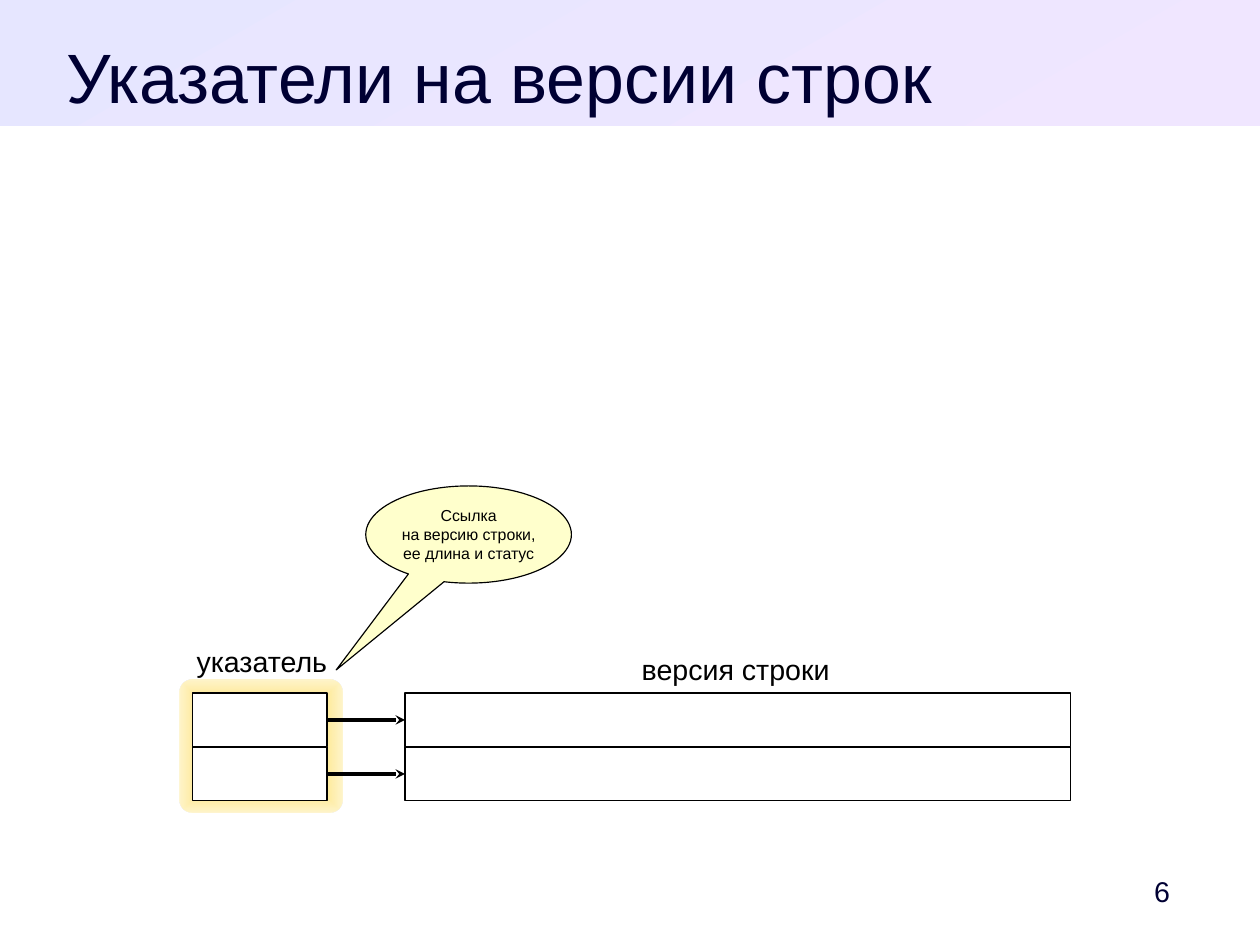
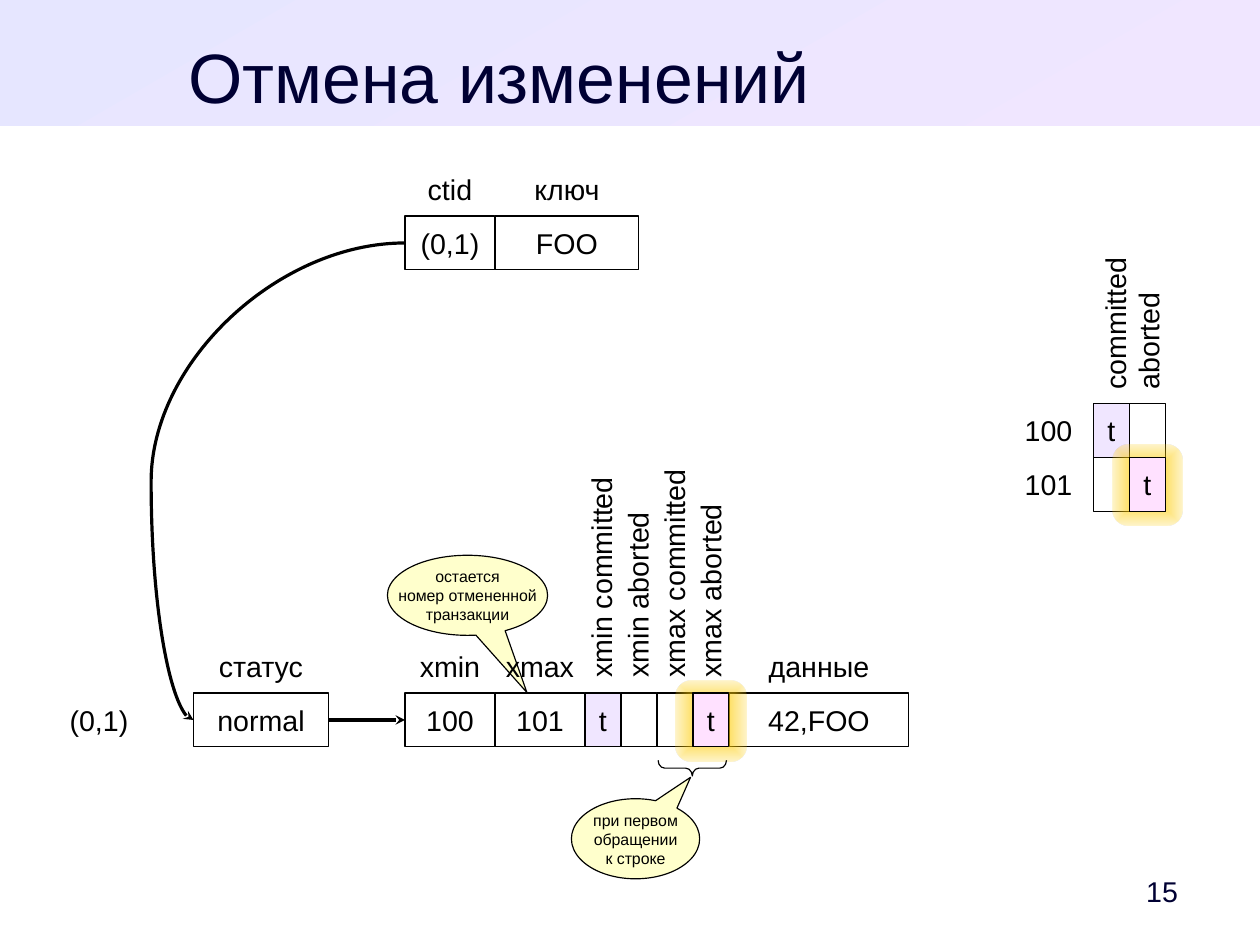
from dataclasses import dataclass

from pptx import Presentation, oxml, util as u
from pptx.dml.color import RGBColor
from pptx.enum import shapes as sh, text as tx
from pptx.oxml import ns

Cm = u.Cm
KIND = sh.MSO_SHAPE
MID = tx.PP_ALIGN.CENTER


@dataclass(frozen=True)
class Theme:
    font: str = "Arial"
    ink: str = "000000"
    navy: str = "000033"
    white: str = "FFFFFF"
    blue: str = "E6E6FF"
    lilac: str = "F0E6FF"
    pink: str = "FFE1FF"
    note: str = "FFFFCC"
    gold: str = "FFCC00"
    head: int = 44
    body: int = 18
    small: int = 10


T = Theme()
ROW = 1.2   # height of a table row, cm
BIT = 0.8   # width of a flag column, cm
GLOW = (
    f'<a:gradFill {ns.nsdecls("a")} rotWithShape="1"><a:gsLst>'
    f'<a:gs pos="0"><a:srgbClr val="{T.gold}"/></a:gs>'
    f'<a:gs pos="100000"><a:srgbClr val="{T.gold}"><a:alpha val="20000"/></a:srgbClr></a:gs>'
    '</a:gsLst><a:path path="rect">'
    '<a:fillToRect l="50000" t="50000" r="50000" b="50000"/></a:path></a:gradFill>'
)


def write(frame, words, size=T.body, color=T.ink, align=MID,
          anchor=tx.MSO_ANCHOR.MIDDLE, wrap=False, pads=(0.25, 0.13, 0.25, 0.13)):
    frame.auto_size = tx.MSO_AUTO_SIZE.NONE
    frame.word_wrap = wrap
    frame.vertical_anchor = anchor
    frame.margin_left, frame.margin_top, frame.margin_right, frame.margin_bottom = map(Cm, pads)
    frame.text = words
    for par in frame.paragraphs:
        par.alignment = align
        for run in par.runs:
            run.font.name = T.font
            run.font.size = u.Pt(size)
            run.font.color.rgb = RGBColor.from_string(color)


def box(home, x, y, w, h=ROW, words="", fill=T.white, edge=True,
        kind=KIND.RECTANGLE, adj=(), turn=0, **form):
    item = home.add_shape(kind, Cm(x), Cm(y), Cm(w), Cm(h))
    item.shadow.inherit = False
    item.rotation = turn
    for i, part in enumerate(adj):
        item.adjustments[i] = part
    if fill == T.gold:
        item.fill.gradient()
        old = item.element.find(".//" + ns.qn("a:gradFill"))
        old.getparent().replace(old, oxml.parse_xml(GLOW))
    elif fill:
        item.fill.solid()
        item.fill.fore_color.rgb = RGBColor.from_string(fill)
    else:
        item.fill.background()
    if edge:
        item.line.color.rgb = RGBColor.from_string(T.ink)
        item.line.width = 0
    else:
        item.line.fill.background()
    if words:
        write(item.text_frame, words, **form)
    return item


deck = Presentation()
deck.slide_width, deck.slide_height = Cm(28), Cm(21)
plan = deck.slide_layouts[5]

# Shared title style and page number
pages = []
for name, num in (("Указатели на версии строк", 6), ("Отмена изменений", 15)):
    page = deck.slides.add_slide(plan)
    title = page.shapes.title
    title.left, title.top, title.width, title.height = map(Cm, (1.2, 0.74, 19.8, 1.75))
    write(title.text_frame, name, size=T.head, color=T.navy, wrap=True,
          anchor=tx.MSO_ANCHOR.TOP, pads=(0, 0, 0, 0))
    foot = page.shapes.add_textbox(Cm(24.6), Cm(19.2), Cm(2.2), Cm(ROW))
    write(foot.text_frame, str(num), color=T.navy, wrap=True, pads=(0.25, 0.13, 0, 0.13))
    pages.append(page.shapes)
links, undo = pages

# Shared band, moved to the layout behind its title
band = box(links, 0, 0, 28, 2.8, edge=False)
band.fill.gradient()
band.fill.gradient_angle = 300
for stop, tint in zip(band.fill.gradient_stops, (T.blue, T.lilac)):
    stop.color.rgb = RGBColor.from_string(tint)
plan.placeholders[0].element.addprevious(band.element)

# Page 6: pointers and row versions
box(links, 4.32, 14.1, 3, words="указатель", edge=False)
box(links, 9, 14.28, 14.7, words="версия строки", edge=False)
rows = links.add_group_shape().shapes
refs = links.add_group_shape().shapes
box(refs, 4, 15.1, 3.6, 2.95, fill=T.gold, edge=False,
    kind=KIND.ROUNDED_RECTANGLE, adj=[0.1])
for y in (15.4, 15.4 + ROW):
    box(rows, 9, y, 14.8)
    box(refs, 4.27, y, 3)

# Page 15: upright flag names, (centre x, centre y, length, words)
flags = ("xmin committed", "xmin aborted", "xmax committed", "xmax aborted")
names = [(13.35 + 0.81 * i, 12.65, 5.3, flag) for i, flag in enumerate(flags)]
names += [(24.77, 7.25, 3.3, "committed"), (25.51, 7.25, 3.3, "aborted")]
for x, y, size, words in names:
    box(undo, x - size / 2, y - BIT / 2, size, BIT, words, edge=False, turn=270,
        align=tx.PP_ALIGN.LEFT)

# Tables with a header above each column: (left, top, [(header, value, width, fill)])
tables = [
    (9, 4.8, [("ctid", "(0,1)", 2, T.white), ("ключ", "FOO", 3.2, T.white)]),
    (4.3, 15.4, [("статус", "normal", 3, T.white)]),
    (9, 15.4, [("xmin", "100", 2, T.white), ("", "101", 2, T.white),
               ("", "t", BIT, T.lilac), ("", "", BIT, T.white), ("", "", BIT, T.white),
               ("", "", BIT, T.white), ("данные", "42,FOO", 4, T.white)]),
]
for x, y, cells in tables:
    for header, value, w, fill in cells:
        if header:
            box(undo, x, y - ROW, w, words=header, edge=False)
        box(undo, x, y, w, words=value, fill=fill)
        x += w
box(undo, 1.2, 15.4, 2, words="(0,1)", edge=False)

# Transaction states
for i, (num, mark, fill) in enumerate((("100", "t", T.lilac), ("101", "", T.white))):
    y = 8.96 + ROW * i
    box(undo, 22.3, y, 2, words=num, edge=False)
    box(undo, 24.3, y, BIT, words=mark, fill=fill)
    box(undo, 24.3 + BIT, y, BIT)

# Changed flags with a glow
spots = ((25.1, 10.16), (15.4, 15.4))
for x, y in spots:
    box(undo, x - 0.38, y - 0.28, 1.56, 1.8, fill=T.gold, edge=False,
        kind=KIND.ROUNDED_RECTANGLE, adj=[0.23])
for x, y in spots:
    box(undo, x, y, BIT, words="t", fill=T.pink)
box(undo, 15.21, 16.31, 0.35, 1.52, fill=None, kind=KIND.LEFT_BRACE,
    adj=[0.42, 0.5], turn=270)

# Callouts
notes = [
    (links, 8.13, 10.8, 4.57, 2.16, (-0.644, 1.393),
     "Ссылка\nна версию строки,\nее длина и статус"),
    (undo, 12.7, 17.75, 2.85, 1.78, (0.429, -0.768), "при первом\nобращении\nк строке"),
    (undo, 8.61, 12.34, 3.56, 1.78, (0.371, 1.213),
     "остается\nномер отмененной\nтранзакции"),
]
for home, x, y, w, h, tip, words in notes:
    box(home, x, y, w, h, words, fill=T.note, kind=KIND.OVAL_CALLOUT, adj=tip, size=T.small)
box(undo, 11, 14.2, 2, words="xmax", fill=None, edge=False)

# Arrows: (page, from, to, bend)
arrows = [
    (links, (7.27, 16), (9, 16), 0.25),
    (links, (7.27, 17.2), (9, 17.2), 0.25),
    (undo, (7.3, 16), (9, 16), 0.25),
    (undo, (9, 5.4), (4.3, 16), 1.2),
]
for home, start, end, bend in arrows:
    wire = home.add_connector(sh.MSO_CONNECTOR.CURVE, *map(Cm, start + end))
    wire.line.color.rgb = RGBColor.from_string(T.ink)
    wire.line.width = 0
    gd = oxml.parse_xml(f'<a:gd {ns.nsdecls("a")} name="adj1" fmla="val {round(bend * 100000)}"/>')
    wire.element.find(".//" + ns.qn("a:avLst")).append(gd)
    line = wire.element.find(".//" + ns.qn("a:ln"))
    line.append(oxml.parse_xml(f'<a:tailEnd {ns.nsdecls("a")} type="stealth"/>'))
    line.addnext(oxml.parse_xml(f'<a:effectLst {ns.nsdecls("a")}/>'))

deck.save("out.pptx")
